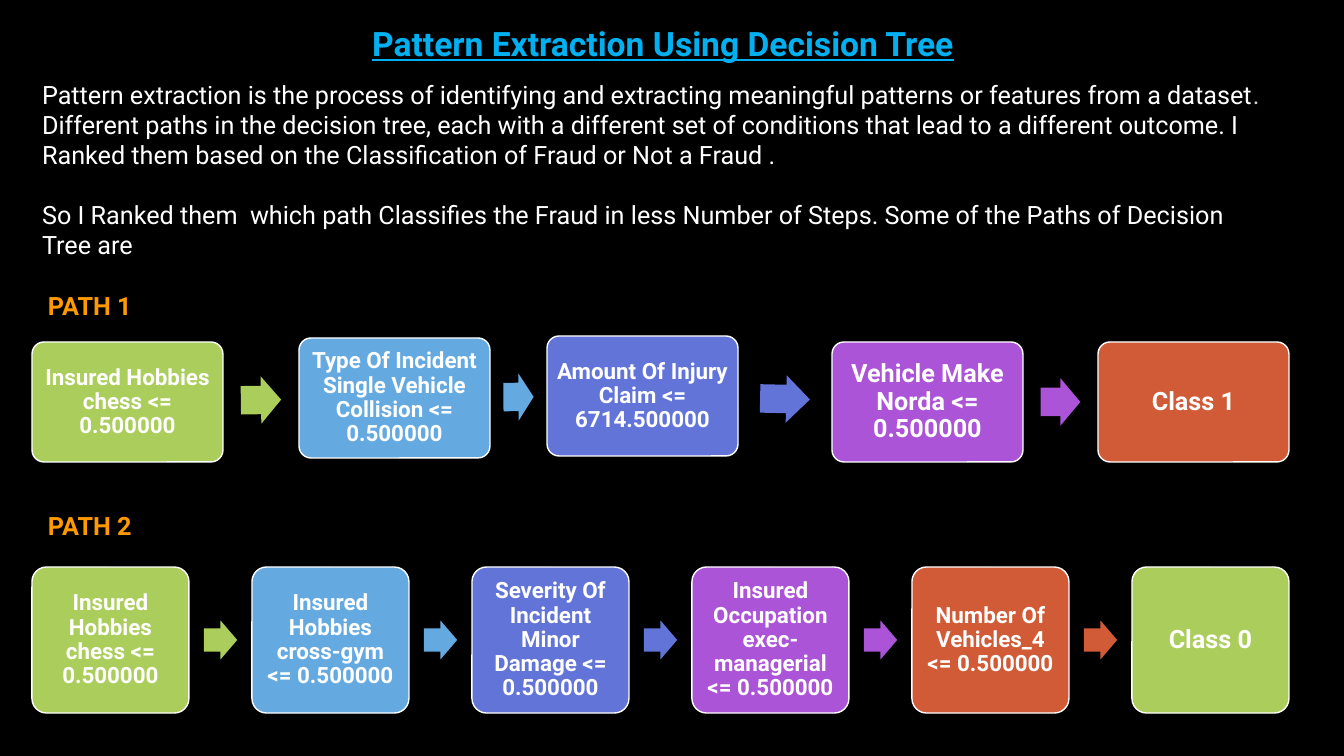
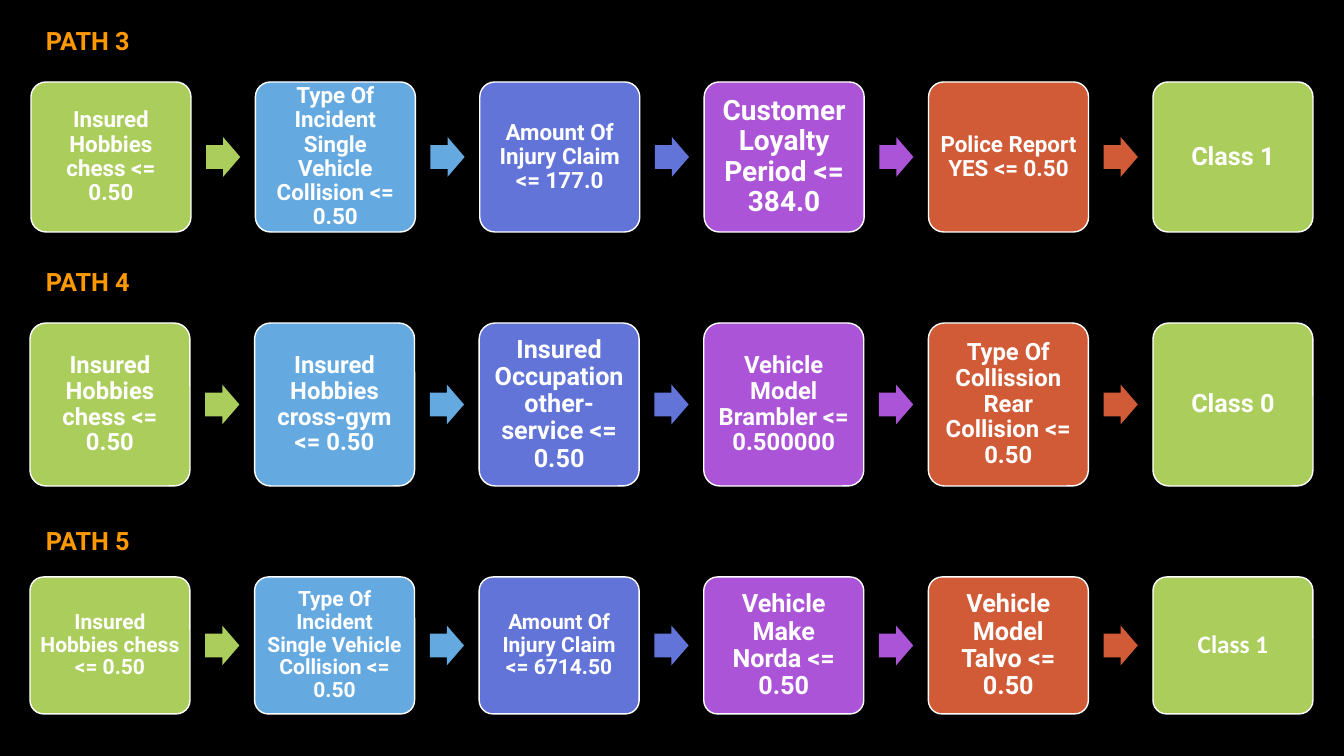
from dataclasses import dataclass
from itertools import cycle
from math import atan2, degrees

from lxml.etree import SubElement
from pptx import Presentation
from pptx.dml.color import RGBColor as Rgb
from pptx.enum.shapes import MSO_SHAPE as Form
from pptx.enum.text import MSO_ANCHOR as Anchor, MSO_AUTO_SIZE as Fit, PP_ALIGN as Align
from pptx.oxml.ns import qn
from pptx.util import Pt

SCALE = 914400 / 100.8  # EMU in one px


@dataclass(frozen=True)
class Theme:
    back: str = "000000"
    text: str = "FFFFFF"
    dim: str = "D1D5DB"
    title: str = "00B0F0"
    label: str = "FF9900"
    steps: tuple = ("AACD5B", "65A9E1", "6274D8", "AB54D7", "D15B37")
    font: str = "Roboto"
    alt: str = "Calibri"
    head: int = 24
    base: int = 18


THEME = Theme()

TITLE = "Pattern Extraction Using Decision Tree"
BODY = [
    # runs of (text, colour), then space before in points
    ([("Pattern extraction is the process of identifying and extracting meaningful "
       "patterns or features from a dataset", THEME.text), (".", THEME.dim)], 0),
    ([("Different paths in the decision tree, each with a different set of conditions "
       "that lead to a different outcome. I Ranked them based on the Classification "
       "of Fraud or Not a Fraud .", THEME.text)], 0),
    ([("So I Ranked them  which path Classifies the Fraud in less Number of Steps. "
       "Some of the Paths of Decision Tree are", THEME.text)], 21),
]

# Each step is (text, size) or (text, size, font).
# "label" is left, top; "box" is width, height; "spots" are left, top of each box.


def even(first, last, top, count=6):
    """Spots at equal gaps from the first left edge to the last."""
    return [(first + (last - first) * i / (count - 1), top) for i in range(count)]


INTRO = [
    dict(name="PATH 1", label=(32, 285), box=(191, 120),
         spots=[(32, 342), (299, 338), (547, 336), (832, 342), (1098, 342)],
         steps=[("Insured Hobbies chess <= 0.500000", 16),
                ("Type Of Incident Single Vehicle Collision <= 0.500000", 16),
                ("Amount Of Injury Claim <= 6714.500000", 16),
                ("Vehicle Make Norda <= 0.500000", 18),
                ("Class 1", 18)]),
    dict(name="PATH 2", label=(32, 505), box=(157, 146), spots=even(32, 1132, 567),
         steps=[("Insured Hobbies chess <= 0.500000", 16),
                ("Insured Hobbies cross-gym <= 0.500000", 16),
                ("Severity Of Incident Minor Damage <= 0.500000", 16),
                ("Insured Occupation exec-managerial <= 0.500000", 16),
                ("Number Of Vehicles_4 <= 0.500000", 16),
                ("Class 0", 18)]),
]
MORE = [
    dict(name="PATH 3", label=(30, 20), box=(160, 150), spots=even(31, 1153, 82),
         steps=[("Insured Hobbies chess <= 0.50", 16),
                ("Type Of Incident Single Vehicle Collision <= 0.50", 16),
                ("Amount Of Injury Claim <= 177.0", 16),
                ("Customer Loyalty Period <= 384.0", 20),
                ("Police Report YES <= 0.50", 16),
                ("Class 1", 18)]),
    dict(name="PATH 4", label=(30, 261), box=(160, 163), spots=even(30, 1153, 323),
         steps=[("Insured Hobbies chess <= 0.50", 17),
                ("Insured Hobbies cross-gym <= 0.50", 17),
                ("Insured Occupation other-service <= 0.50", 18),
                ("Vehicle Model Brambler <= 0.500000", 17),
                ("Type Of Collission Rear Collision <= 0.50", 17),
                ("Class 0", 18)]),
    dict(name="PATH 5", label=(30, 520), box=(160, 137), spots=even(30, 1153, 577),
         steps=[("Insured Hobbies chess <= 0.50", 15),
                ("Type Of Incident Single Vehicle Collision <= 0.50", 15),
                ("Amount Of Injury Claim <= 6714.50", 15),
                ("Vehicle Make Norda <= 0.50", 18),
                ("Vehicle Model Talvo <= 0.50", 18),
                ("Class 1", 18, THEME.alt)]),
]


def px(*vals):
    return [round(val * SCALE) for val in vals]


def put(obj, **vals):
    for key, val in vals.items():
        setattr(obj, key, val)


def write(para, text, color, size=THEME.base, font=THEME.font, **more):
    run = para.add_run()
    run.text = text
    put(run.font, name=font, size=Pt(size), **more)
    run.font.color.rgb = Rgb.from_string(color)


def place(shape, *area):
    put(shape, **dict(zip(("left", "top", "width", "height"), px(*area))))


def solid(slide, form, area, color):
    shape = slide.shapes.add_shape(form, *px(*area))
    shape.shadow.inherit = False
    shape.fill.solid()
    shape.fill.fore_color.rgb = Rgb.from_string(color)
    shape.line.fill.background()
    return shape


def add_step(slide, area, color, text, size, font=THEME.font):
    box = solid(slide, Form.ROUNDED_RECTANGLE, area, color)
    box.adjustments[0] = 0.1
    box.line.color.rgb = Rgb.from_string(THEME.text)
    box.line.width = Pt(1)
    frame = box.text_frame
    inset = Pt(size * 0.3)
    put(frame, word_wrap=True, vertical_anchor=Anchor.MIDDLE, margin_left=inset,
        margin_right=inset, margin_top=inset, margin_bottom=inset)
    para = frame.paragraphs[0]
    put(para, alignment=Align.CENTER, line_spacing=0.9)
    write(para, text, THEME.text, size, font, bold=True)


def add_arrow(slide, here, there, box, color):
    """Centre an arrow in the gap between two boxes, turned along their slope."""
    wide, high = box
    run, rise = there[0] - here[0], there[1] - here[1]
    w, h = (run - wide) * 0.53, wide * 0.248
    mid_x = here[0] + (run + wide) / 2
    mid_y = here[1] + (rise + high) / 2
    arrow = solid(slide, Form.RIGHT_ARROW, (mid_x - w / 2, mid_y - h / 2, w, h), color)
    arrow.adjustments[0] = 0.6
    arrow.adjustments[1] = 0.5
    arrow.rotation = degrees(atan2(rise, run))


def add_path(slide, name, label, box, spots, steps):
    frame = slide.shapes.add_textbox(*px(*label, 168, 40)).text_frame
    put(frame, word_wrap=True, margin_left=px(16)[0])
    write(frame.paragraphs[0], name, THEME.label, bold=True)
    for i, (spot, step, color) in enumerate(zip(spots, steps, cycle(THEME.steps))):
        add_step(slide, (*spot, *box), color, *step)
        if i + 1 < len(spots):
            add_arrow(slide, spot, spots[i + 1], box, color)


def add_intro(slide):
    title, body = slide.placeholders
    place(title, 362, 18, 679, 50)
    place(body, 32, 74, 1257, 193)
    for item in (title, body):
        put(item.text_frame, word_wrap=True, auto_size=Fit.NONE,
            vertical_anchor=Anchor.TOP)
    para = title.text_frame.paragraphs[0]
    para.alignment = Align.LEFT
    write(para, TITLE, THEME.title, THEME.head, bold=True, underline=True)
    frame = body.text_frame
    for i, (runs, space) in enumerate(BODY):
        para = frame.add_paragraph() if i else frame.paragraphs[0]
        put(para, space_before=Pt(space), alignment=Align.LEFT)
        props = para._p.get_or_add_pPr()
        for key in ("marL", "indent"):
            props.set(key, "0")
        SubElement(props, qn("a:buNone"))
        for text, color in runs:
            write(para, text, color)


def main():
    deck = Presentation()
    put(deck, **dict(zip(("slide_width", "slide_height"), px(1344, 756))))
    fill = deck.slide_master.background.fill
    fill.solid()
    fill.fore_color.rgb = Rgb.from_string(THEME.back)
    first = deck.slides.add_slide(deck.slide_layouts[1])
    add_intro(first)
    second = deck.slides.add_slide(deck.slide_layouts[6])
    for slide, paths in ((first, INTRO), (second, MORE)):
        for path in paths:
            add_path(slide, **path)
    deck.save("out.pptx")


if __name__ == "__main__":
    main()
